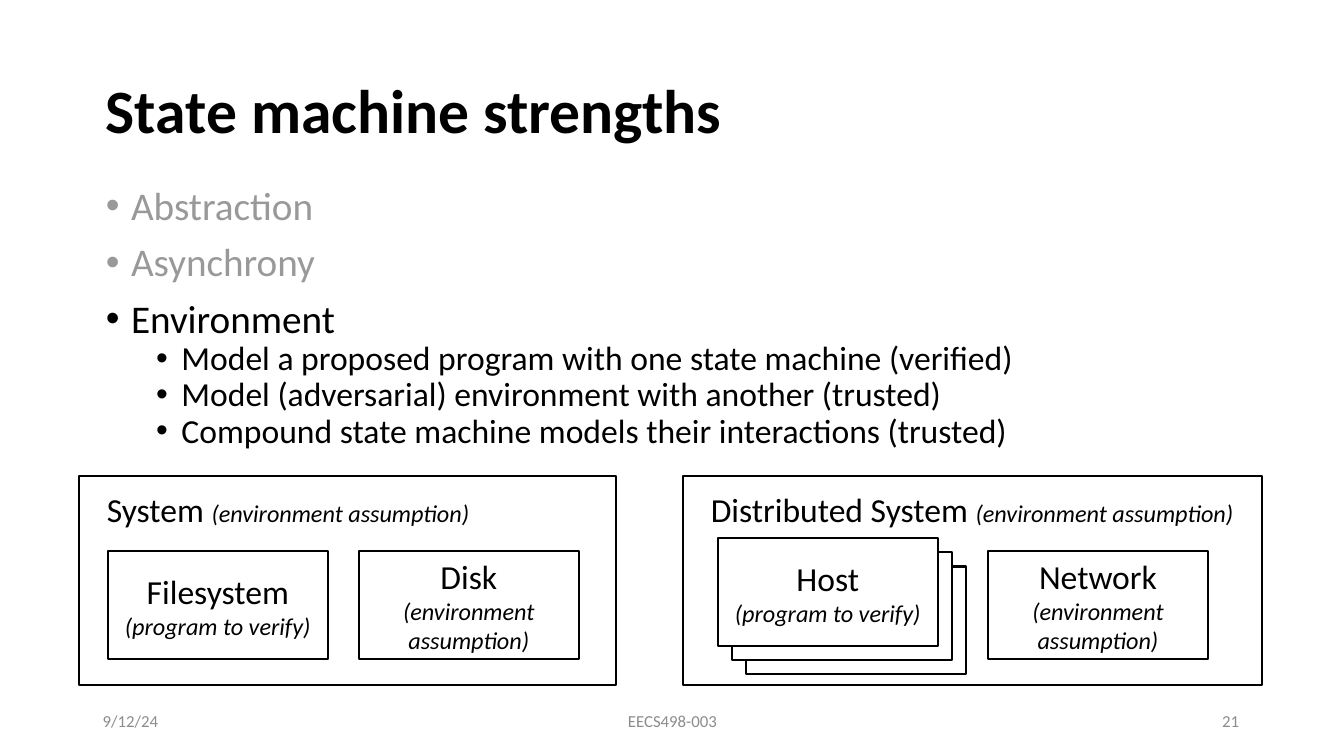
from dataclasses import dataclass

from lxml.etree import SubElement
from pptx import Presentation
from pptx.dml.color import RGBColor
from pptx.enum.shapes import MSO_SHAPE
from pptx.enum.text import MSO_ANCHOR, PP_ALIGN
from pptx.oxml.ns import qn
from pptx.util import Inches, Pt


@dataclass(frozen=True)
class Theme:
    font: str = "Calibri"
    black: str = "000000"
    white: str = "FFFFFF"
    faded: str = "999999"
    footer: str = "8C8C8C"
    title_size: float = 44
    topic_size: float = 28
    label_size: float = 24
    note_size: float = 17.3
    footer_size: float = 12
    outline: float = 1.5
    inset: float = 0.13


@dataclass(frozen=True)
class Area:
    left: float
    top: float
    width: float
    height: float

    def lengths(self) -> tuple:
        return tuple(Inches(n) for n in (self.left, self.top, self.width, self.height))


@dataclass(frozen=True)
class Span:
    text: str
    size: float
    color: str = "000000"
    bold: bool = False
    italic: bool = False


@dataclass(frozen=True)
class Bullet:
    text: str
    color: str
    size: float
    level: int = 0


@dataclass(frozen=True)
class System:
    name: str
    area: Area


@dataclass(frozen=True)
class Machine:
    name: str
    note: str
    left: float
    top: float = 5.47


@dataclass(frozen=True)
class Footer:
    text: str
    left: float
    width: float
    align: PP_ALIGN
    inset: float = 0.1


THEME = Theme()
ASSUMPTION = "(environment assumption)"
PROGRAM = "(program to verify)"
MACHINE_WIDTH, MACHINE_HEIGHT = 2.18, 1.07
STACK_STEP = 0.14
HEADING_INDENT = 0.15

BULLETS = [
    Bullet("Abstraction", THEME.faded, THEME.topic_size),
    Bullet("Asynchrony", THEME.faded, THEME.topic_size),
    Bullet("Environment", THEME.black, THEME.topic_size),
    Bullet("Model a proposed program with one state machine (verified)", THEME.black, THEME.label_size, 1),
    Bullet("Model (adversarial) environment with another (trusted)", THEME.black, THEME.label_size, 1),
    Bullet("Compound state machine models their interactions (trusted)", THEME.black, THEME.label_size, 1),
]
SYSTEMS = [
    System("System", Area(0.78, 4.72, 5.33, 2.08)),
    System("Distributed System", Area(6.77, 4.72, 5.75, 2.08)),
]
HOST = Machine("Host", PROGRAM, 7.12, 5.34)
MACHINES = [
    Machine("Filesystem", PROGRAM, 1.07),
    Machine("Disk", ASSUMPTION, 3.56),
    HOST,
    Machine("Network", ASSUMPTION, 9.8),
]
FOOTERS = [
    Footer("9/12/24", 0.92, 3, PP_ALIGN.LEFT),
    Footer("EECS498-003", 4.42, 4.5, PP_ALIGN.CENTER),
    Footer("21", 9.42, 3, PP_ALIGN.RIGHT, THEME.inset),
]


def format_frame(box, anchor: MSO_ANCHOR, inset: float = THEME.inset, indent: float = 0):
    frame = box.text_frame
    settings = {
        "word_wrap": True,
        "vertical_anchor": anchor,
        "margin_left": Inches(inset + indent),
        "margin_right": Inches(inset),
        "margin_top": Inches(min(inset, THEME.inset)),
        "margin_bottom": Inches(min(inset, THEME.inset)),
    }
    for name, value in settings.items():
        setattr(frame, name, value)
    return frame


def add_spans(para, spans: list[Span], align: PP_ALIGN = PP_ALIGN.LEFT) -> None:
    para.alignment = align
    for span in spans:
        run = para.add_run()
        run.text = span.text
        settings = {"name": THEME.font, "size": Pt(span.size), "bold": span.bold, "italic": span.italic}
        for name, value in settings.items():
            setattr(run.font, name, value)
        run.font.color.rgb = RGBColor.from_string(span.color)


def add_rectangle(page, area: Area, filled: bool = False):
    box = page.shapes.add_shape(MSO_SHAPE.RECTANGLE, *area.lengths())
    box.shadow.inherit = False
    if filled:
        box.fill.solid()
        box.fill.fore_color.rgb = RGBColor.from_string(THEME.white)
    else:
        box.fill.background()
    box.line.color.rgb = RGBColor.from_string(THEME.black)
    box.line.width = Pt(THEME.outline)
    return box


def add_title(page) -> None:
    box = page.shapes.add_textbox(*Area(0.92, 0.4, 11.5, 1.45).lengths())
    para = format_frame(box, MSO_ANCHOR.MIDDLE).paragraphs[0]
    para.line_spacing = 0.9
    add_spans(para, [Span("State machine strengths", THEME.title_size, bold=True)])


def set_bullet(para, bullet: Bullet) -> None:
    """Hang a coloured dot in front of the paragraph, half an inch deeper per level."""
    properties = para._p.get_or_add_pPr()
    properties.set("marL", str(Inches(0.25 + 0.5 * bullet.level)))
    properties.set("indent", str(-Inches(0.25)))
    color = SubElement(properties, qn("a:buClr"))
    SubElement(color, qn("a:srgbClr"), val=bullet.color)
    SubElement(properties, qn("a:buFont"), typeface="Arial")
    SubElement(properties, qn("a:buChar"), char="•")


def add_bullets(page) -> None:
    box = page.shapes.add_textbox(*Area(0.92, 1.72, 11.5, 4.76).lengths())
    frame = format_frame(box, MSO_ANCHOR.TOP)
    for index, bullet in enumerate(BULLETS):
        para = frame.add_paragraph() if index else frame.paragraphs[0]
        para.level = bullet.level
        para.line_spacing = 0.9
        para.space_before = Pt(0 if bullet.level else 10)
        set_bullet(para, bullet)
        add_spans(para, [Span(bullet.text, bullet.size, bullet.color)])


def add_system(page, system: System) -> None:
    box = add_rectangle(page, system.area)
    frame = format_frame(box, MSO_ANCHOR.TOP, indent=HEADING_INDENT)
    name = Span(f"{system.name} ", THEME.label_size)
    add_spans(frame.paragraphs[0], [name, Span(ASSUMPTION, THEME.note_size, italic=True)])


def add_machine(page, machine: Machine) -> None:
    area = Area(machine.left, machine.top, MACHINE_WIDTH, MACHINE_HEIGHT)
    frame = format_frame(add_rectangle(page, area, machine is HOST), MSO_ANCHOR.MIDDLE)
    add_spans(frame.paragraphs[0], [Span(machine.name, THEME.label_size)], PP_ALIGN.CENTER)
    add_spans(frame.add_paragraph(), [Span(machine.note, THEME.note_size, italic=True)], PP_ALIGN.CENTER)


def add_host_stack(page) -> None:
    """Draw the two empty cards behind the host, rearmost first."""
    for depth in (2, 1):
        shift = depth * STACK_STEP
        add_rectangle(page, Area(HOST.left + shift, HOST.top + shift, MACHINE_WIDTH, MACHINE_HEIGHT), True)


def add_footer(page, footer: Footer) -> None:
    box = page.shapes.add_textbox(*Area(footer.left, 6.95, footer.width, 0.4).lengths())
    para = format_frame(box, MSO_ANCHOR.MIDDLE, footer.inset).paragraphs[0]
    add_spans(para, [Span(footer.text, THEME.footer_size, THEME.footer)], footer.align)


def main() -> None:
    deck = Presentation()
    deck.slide_width, deck.slide_height = Inches(13.33), Inches(7.5)
    page = deck.slides.add_slide(deck.slide_layouts[6])
    add_title(page)
    add_bullets(page)
    for system in SYSTEMS:
        add_system(page, system)
    add_host_stack(page)
    for machine in MACHINES:
        add_machine(page, machine)
    for footer in FOOTERS:
        add_footer(page, footer)
    deck.save("out.pptx")


if __name__ == "__main__":
    main()
